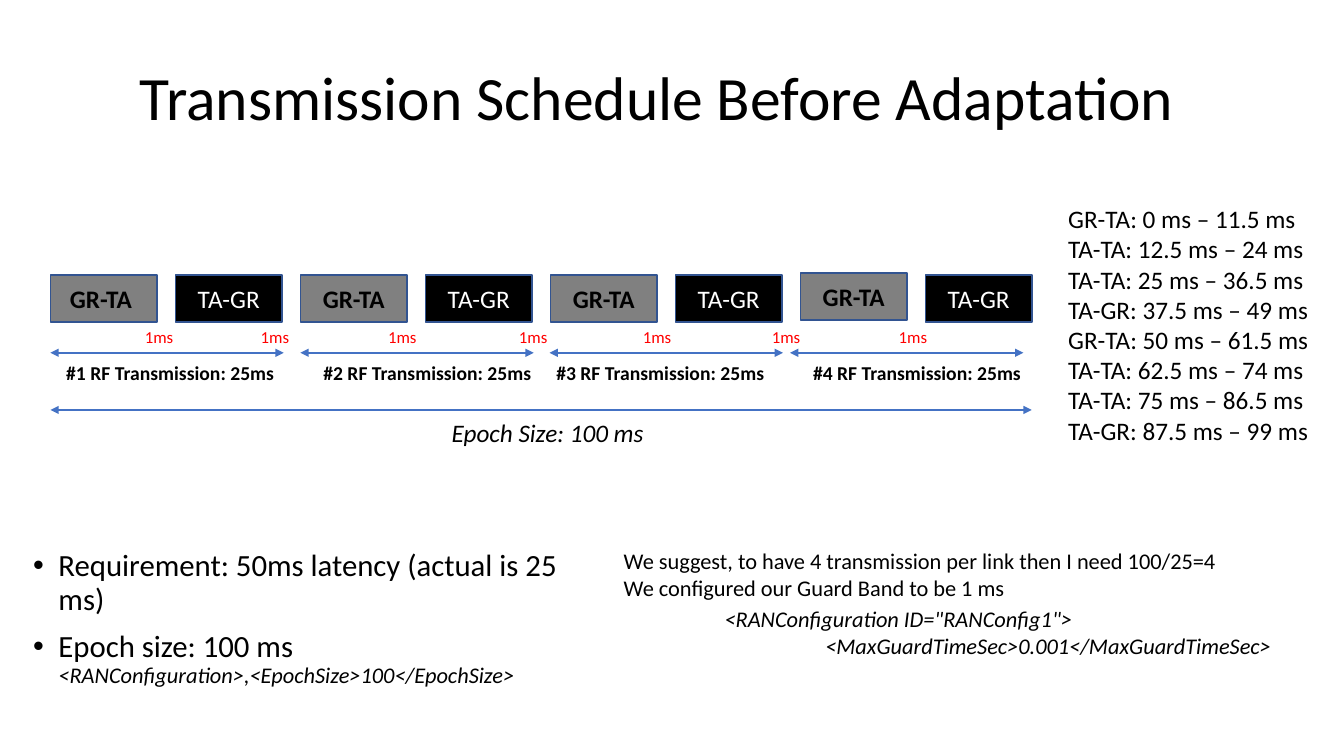
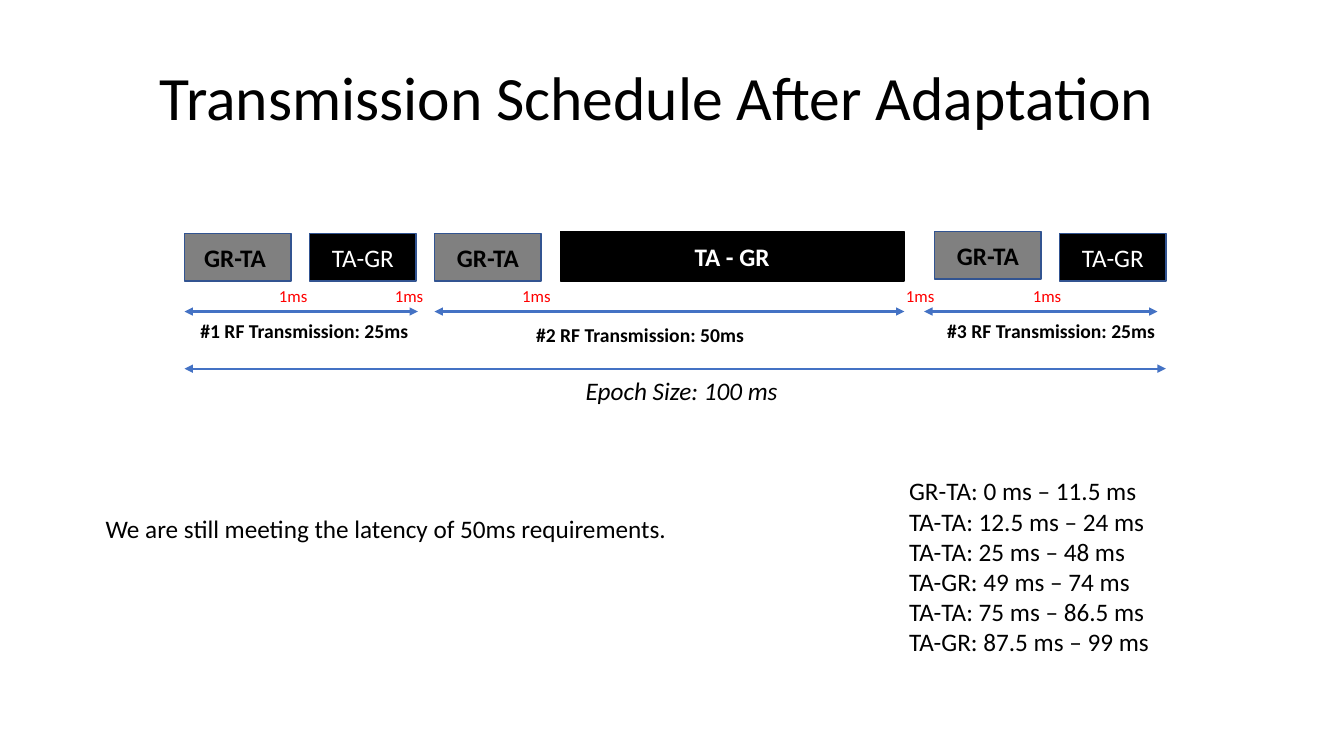
import lxml.etree
import pptx
import pptx.dml.color
import pptx.enum.shapes
import pptx.enum.text
import pptx.oxml.ns
import pptx.util

Cm, Pt = pptx.util.Cm, pptx.util.Pt
qn = pptx.oxml.ns.qn

FONT = "Calibri"
COLORS = {
    "black": "000000",
    "white": "FFFFFF",
    "gray": "808080",
    "red": "FF0000",
    "blue": "4472C4",
    "edge": "325491",
}
TITLE = {"size": Pt(44), "color": "black"}
POINT = {"size": Pt(22), "color": "black"}
PLAIN = {"size": Pt(18), "color": "black"}
SMALL = {"size": Pt(16), "color": "black"}
CODE = SMALL | {"italic": True}
GUARD = {"size": Pt(12), "color": "red"}
LABEL = {"size": Pt(14), "color": "black", "bold": True}
EPOCH = PLAIN | {"italic": True}
GRAY = PLAIN | {"bold": True}
BLACK = {"size": Pt(18), "color": "white"}

PITCH = 3.15  # distance between the starts of two slots
SLOT_W, SLOT_H = 2.69, 1.19
EPOCH_W = 24.73


def rgb(name):
    return pptx.dml.color.RGBColor.from_string(COLORS[name])


def style(font, form):
    for key, val in ({"name": FONT} | form).items():
        if key == "color":
            font.color.rgb = rgb(val)
        else:
            setattr(font, key, val)


def place(shape, left, top, width, height):
    spots = {"left": left, "top": top, "width": width, "height": height}
    for key, val in spots.items():
        setattr(shape, key, Cm(val))


def write(para, text, form):
    run = para.add_run()
    run.text = text
    style(run.font, form)


def indent(para, left, first=0):
    props = para._p.get_or_add_pPr()
    props.set("marL", str(Cm(left)))
    props.set("indent", str(Cm(first)))


def add_text(slide, left, top, width, height, lines, form):
    """Add a text box with one paragraph for each line and return its frame."""
    shape = slide.shapes.add_textbox(Cm(left), Cm(top), Cm(width), Cm(height))
    frame = shape.text_frame
    frame.word_wrap = True
    for num, line in enumerate(lines):
        para = frame.add_paragraph() if num else frame.paragraphs[0]
        write(para, line, form)
    return frame


def add_box(slide, left, top, width, height, text, fill, edge, form):
    box = slide.shapes.add_shape(
        pptx.enum.shapes.MSO_SHAPE.RECTANGLE,
        Cm(left), Cm(top), Cm(width), Cm(height))
    box.shadow.inherit = False
    box.fill.solid()
    box.fill.fore_color.rgb = rgb(fill)
    box.line.color.rgb = rgb(edge)
    box.line.width = Pt(1)
    frame = box.text_frame
    frame.vertical_anchor = pptx.enum.text.MSO_ANCHOR.MIDDLE
    para = frame.paragraphs[0]
    para.alignment = pptx.enum.text.PP_ALIGN.CENTER
    write(para, text, form)


def add_span(slide, left, top, width):
    """Add a level line with an arrowhead at each end."""
    line = slide.shapes.add_connector(
        pptx.enum.shapes.MSO_CONNECTOR.STRAIGHT,
        Cm(left), Cm(top), Cm(left + width), Cm(top))
    line.line.color.rgb = rgb("blue")
    line.line.width = Pt(1.5)
    props = line._element.spPr
    for end in ("a:headEnd", "a:tailEnd"):
        lxml.etree.SubElement(props.find(qn("a:ln")), qn(end), type="triangle")
    lxml.etree.SubElement(props, qn("a:effectLst"))


def add_title(slide, text):
    shape = slide.shapes.title
    place(shape, 1.96, 0.69, 29.21, 3.68)
    frame = shape.text_frame
    frame.auto_size = pptx.enum.text.MSO_AUTO_SIZE.NONE
    frame.vertical_anchor = pptx.enum.text.MSO_ANCHOR.MIDDLE
    para = frame.paragraphs[0]
    para.alignment = pptx.enum.text.PP_ALIGN.CENTER
    para.line_spacing = 0.9
    write(para, text, TITLE)


def add_points(slide):
    body = slide.placeholders[1]
    place(body, 0.58, 13.74, 14.88, 4.34)
    frame = body.text_frame
    frame.auto_size = pptx.enum.text.MSO_AUTO_SIZE.NONE
    first, last = frame.paragraphs[0], frame.add_paragraph()
    for para, gap in ((first, 0), (last, 10)):
        indent(para, 0.64, -0.64)
        para.line_spacing = 0.9
        para.space_before = Pt(gap)
    write(first, "Requirement: 50ms latency (actual is 25 ms)", POINT)
    write(last, "Epoch size: 100 ms", POINT)
    last.add_line_break()
    write(last, "<RANConfiguration>,<EpochSize>100</EpochSize>", CODE)


def add_advice(slide):
    frame = add_text(slide, 15.47, 13.67, 18, 4.62, [
        "We suggest, to have 4 transmission per link then I need 100/25=4",
        "We configured our Guard Band to be 1 ms"], SMALL)
    codes = ('<RANConfiguration ID="RANConfig1">',
             "<MaxGuardTimeSec>0.001</MaxGuardTimeSec>")
    for step, code in enumerate(codes, 1):
        para = frame.add_paragraph()
        indent(para, 2.54 * step)
        if step == 1:
            para.space_before = Pt(3)
        write(para, code, CODE)


def add_chain(slide, left, top, slots, guards, spans, labels):
    """Draw the epoch; all given places count from its top left corner."""
    for slot, text, rise in slots:
        if text.startswith("GR"):
            fill, form = "gray", GRAY
        else:
            fill, form = "black", BLACK
        add_box(slide, left + slot * PITCH, top - rise, SLOT_W, SLOT_H,
                text, fill, "edge", form)
    for across in guards:
        add_text(slide, left + across, top + SLOT_H, 1.5, 0.76, ["1ms"], GUARD)
    for across, width in spans:
        add_span(slide, left + across, top + 1.96, width)
    for num, (across, down, time) in enumerate(labels, 1):
        add_text(slide, left + across, top + down, 6.1, 0.86,
                 [f"#{num} RF Transmission: {time}ms"], LABEL)
    add_span(slide, left, top + 3.4, EPOCH_W)
    add_text(slide, left + 9.86, top + 3.45, 5.8, 1.02,
             ["Epoch Size: 100 ms"], EPOCH)


def add_before(deck):
    slide = deck.slides.add_slide(deck.slide_layouts[1])
    add_title(slide, "Transmission Schedule Before Adaptation")
    slots = [(0, "GR-TA ", 0), (2, "GR-TA", 0), (4, "GR-TA", 0),
             (6, "GR-TA", 0.05)]
    slots += [(slot, "TA-GR", 0) for slot in range(1, 8, 2)]
    add_chain(
        slide, 1.27, 6.93, slots,
        guards=(2.13, 5.05, 8.26, 11.56, 14.68, 17.93, 21.13),
        spans=[(across, 5.88) for across in (0, 6.3, 12.58, 18.64)],
        labels=[(across, 2.03, 25) for across in (0.15, 6.63, 12.5, 18.97)])
    add_text(slide, 26.67, 5, 7, 6.4, [
        "GR-TA: 0 ms – 11.5 ms",
        "TA-TA: 12.5 ms – 24 ms",
        "TA-TA: 25 ms – 36.5 ms",
        "TA-GR: 37.5 ms – 49 ms",
        "GR-TA: 50 ms – 61.5 ms",
        "TA-TA: 62.5 ms – 74 ms",
        "TA-TA: 75 ms – 86.5 ms",
        "TA-GR: 87.5 ms – 99 ms"], PLAIN)
    add_points(slide)
    add_advice(slide)


def add_after(deck):
    slide = deck.slides.add_slide(deck.slide_layouts[5])
    add_title(slide, "Transmission Schedule After Adaptation")
    left, top = 4.65, 5.89
    add_chain(
        slide, left, top,
        slots=[(0, "GR-TA ", 0), (1, "TA-GR", 0), (2, "GR-TA", 0),
               (6, "GR-TA", 0.05), (7, "TA-GR", 0)],
        guards=(2.13, 5.05, 8.26, 17.93, 21.13),
        spans=[(0, 5.88), (6.3, 11.84), (18.64, 5.88)],
        labels=[(0.15, 2.03, 25), (8.61, 2.11, 50), (18.97, 2.03, 25)])
    add_box(slide, left + 9.47, top - 0.05, 8.66, 1.24, "TA - GR",
            "black", "black", BLACK | {"bold": True})
    add_text(slide, 22.66, 11.86, 7, 4.88, [
        "GR-TA: 0 ms – 11.5 ms",
        "TA-TA: 12.5 ms – 24 ms",
        "TA-TA: 25 ms – 48 ms",
        "TA-GR: 49 ms – 74 ms",
        "TA-TA: 75 ms – 86.5 ms",
        "TA-GR: 87.5 ms – 99 ms"], PLAIN)
    add_text(slide, 2.41, 12.8, 16.18, 1.02,
             ["We are still meeting the latency of 50ms requirements."], PLAIN)


def main():
    deck = pptx.Presentation()
    deck.slide_width, deck.slide_height = Cm(33.87), Cm(19.05)
    add_before(deck)
    add_after(deck)
    deck.save("out.pptx")


if __name__ == "__main__":
    main()
